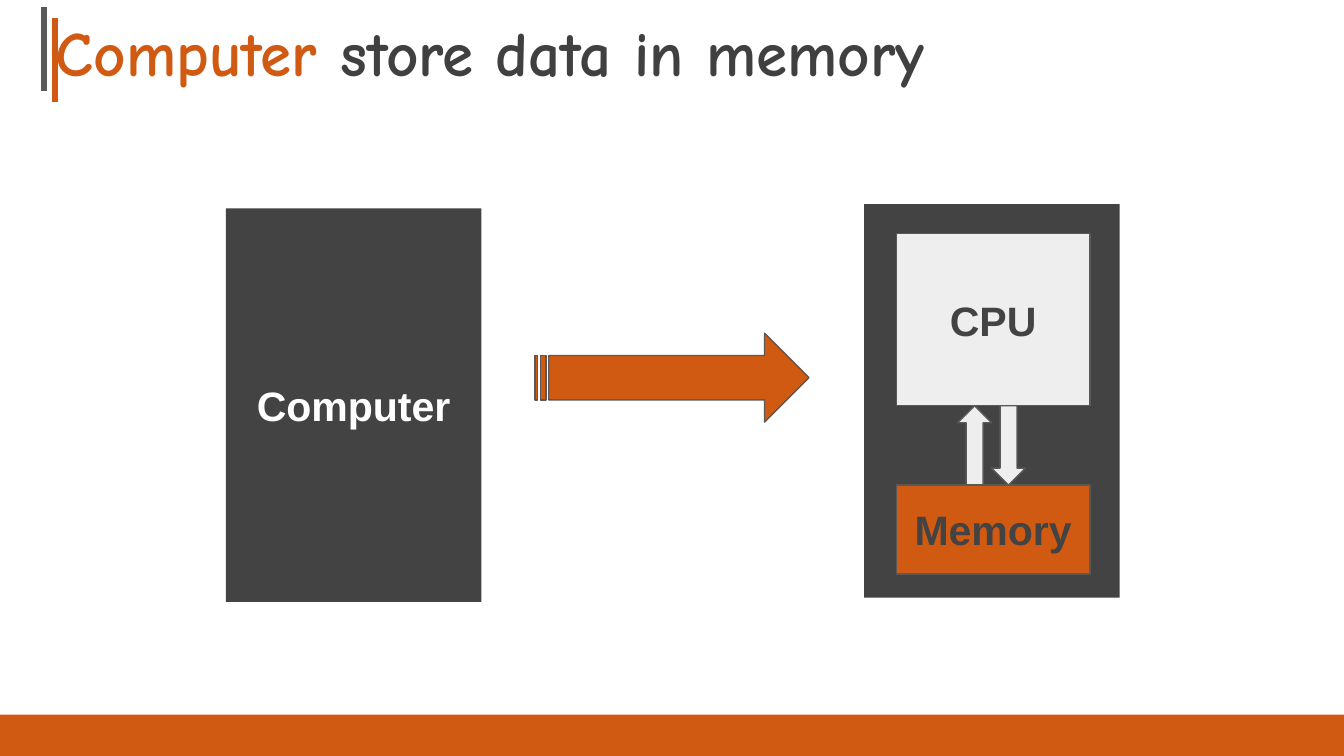
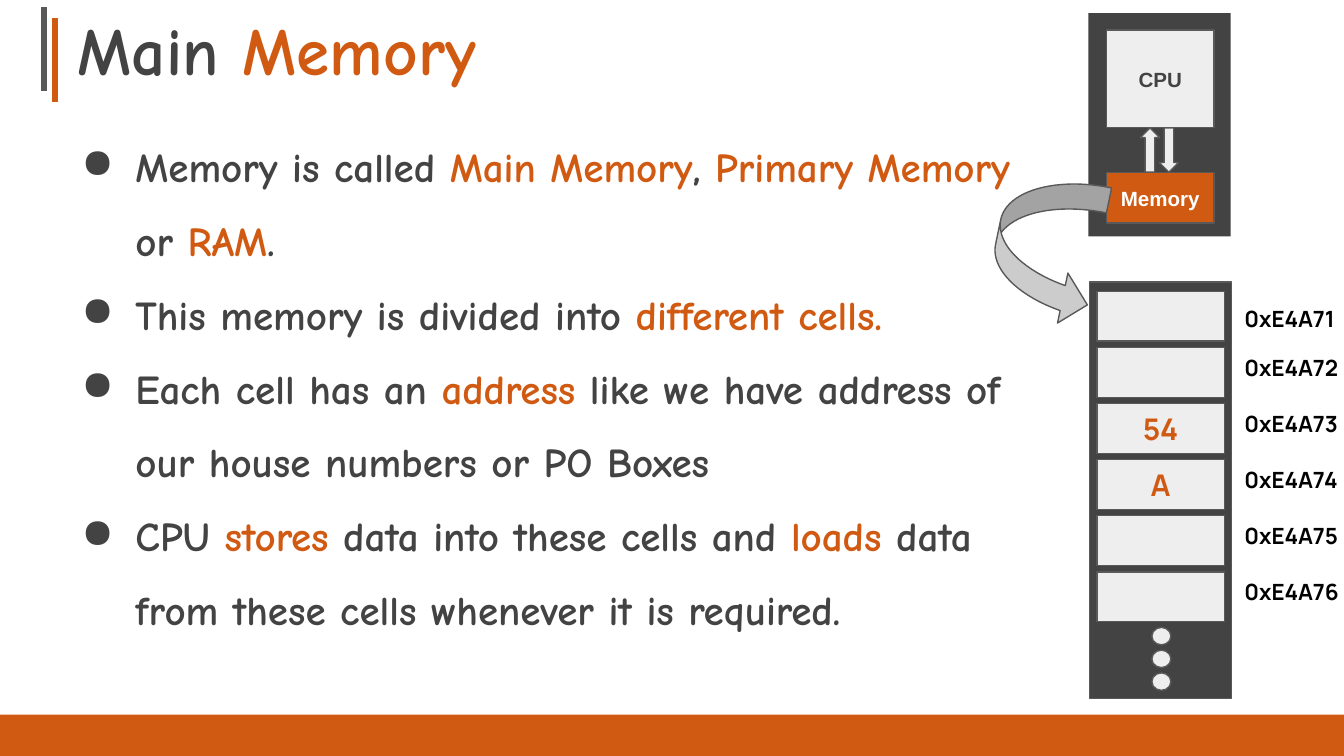
import dataclasses

import lxml.etree
import pptx
import pptx.dml.color
import pptx.enum.shapes
import pptx.enum.text
import pptx.oxml.ns
import pptx.util

Cm = pptx.util.Cm
Pt = pptx.util.Pt
MSO = pptx.enum.shapes.MSO_SHAPE
ALIGN = pptx.enum.text.PP_ALIGN
ANCHOR = pptx.enum.text.MSO_ANCHOR
qn = pptx.oxml.ns.qn


@dataclasses.dataclass(frozen=True)
class Theme:
    orange: str = "D15A12"
    dark: str = "434343"
    title_dark: str = "404040"
    light: str = "EEEEEE"
    silver: str = "CCCCCC"
    outline: str = "595959"
    white: str = "FFFFFF"
    black: str = "000000"
    display: str = "Comic Neue"
    label: str = "Arial"
    mono: str = "Manrope"
    title: float = 36
    title_small: float = 33.8
    body: float = 22
    small: float = 11
    address: float = 12
    value: float = 16
    hairline: float = 0.75
    rule: float = 3


T = Theme()

BULLETS = [
    [("Memory is called ", T.dark), ("Main Memory", T.orange), (", ", T.dark),
     ("Primary Memory", T.orange), (" or ", T.dark), ("RAM", T.orange), (".", T.dark)],
    [("This memory is divided into ", T.dark), ("different cells.", T.orange)],
    [("Each cell has an ", T.dark), ("address", T.orange),
     (" like we have address of our house numbers or PO Boxes", T.dark)],
    [("CPU ", T.dark), ("stores", T.orange), (" data into these cells and ", T.dark),
     ("loads", T.orange), (" data from these cells whenever it is required.", T.dark)],
]

CELLS = [
    ("0xE4A71", "", 0),
    ("0xE4A72", "", -0.13),
    ("0xE4A73", "54", -0.13),
    ("0xE4A74", "A", -0.13),
    ("0xE4A75", "", -0.13),
    ("0xE4A76", "", -0.13),
]


def rgb(color):
    return pptx.dml.color.RGBColor.from_string(color)


def add_run(p, text, size, color, font):
    r = p.add_run()
    r.text = text
    r.font.size = Pt(size)
    r.font.name = font
    r.font.bold = True
    r.font.color.rgb = rgb(color)


def set_margins(tf, left, top, right, bottom):
    tf.margin_left, tf.margin_top = Cm(left), Cm(top)
    tf.margin_right, tf.margin_bottom = Cm(right), Cm(bottom)


def add_block(s, kind, left, top, width, height, fill, line=T.outline, rotation=0):
    sp = s.shapes.add_shape(kind, Cm(left), Cm(top), Cm(width), Cm(height))
    sp.shadow.inherit = False
    sp.rotation = rotation
    sp.fill.solid()
    sp.fill.fore_color.rgb = rgb(fill)
    if line:
        sp.line.color.rgb = rgb(line)
        sp.line.width = Pt(T.hairline)
    else:
        sp.line.fill.background()
    return sp


def add_label(sp, text, size, color, font=T.label):
    tf = sp.text_frame
    tf.word_wrap = True
    tf.vertical_anchor = ANCHOR.MIDDLE
    set_margins(tf, 0, 0, 0, 0)
    p = tf.paragraphs[0]
    p.alignment = ALIGN.CENTER
    add_run(p, text, size, color, font)


def add_text_box(s, left, top, width, height, right_margin=0.25):
    sp = s.shapes.add_textbox(Cm(left), Cm(top), Cm(width), Cm(height))
    tf = sp.text_frame
    tf.word_wrap = True
    set_margins(tf, 0.25, 0.25, right_margin, 0.25)
    return tf


def add_rule(s, x, top, bottom, color):
    line = s.shapes.add_connector(
        pptx.enum.shapes.MSO_CONNECTOR.STRAIGHT, Cm(x), Cm(top), Cm(x), Cm(bottom))
    line.line.color.rgb = rgb(color)
    line.line.width = Pt(T.rule)
    lxml.etree.SubElement(line._element.spPr, qn("a:effectLst"))


def add_title(s, runs, indent):
    sp = s.shapes.title
    sp.left, sp.top, sp.width, sp.height = Cm(0), Cm(-0.2), Cm(25.4), Cm(2)
    tf = sp.text_frame
    tf.word_wrap = True
    tf.auto_size = pptx.enum.text.MSO_AUTO_SIZE.NONE
    tf.vertical_anchor = ANCHOR.BOTTOM
    set_margins(tf, indent, 0.1, 0.18, 0.1)
    p = tf.paragraphs[0]
    p.alignment = ALIGN.LEFT
    p.line_spacing = 0.9
    for text, size, color in runs:
        add_run(p, text, size, color, T.display)


def add_slide(prs, title_runs, indent):
    s = prs.slides.add_slide(prs.slide_layouts[5])
    add_block(s, MSO.RECTANGLE, 0, 13.51, 25.4, 0.78, T.orange, None)
    add_rule(s, 1.04, 0.34, 1.93, T.orange)
    add_rule(s, 0.83, 0.13, 1.72, T.outline)
    add_title(s, title_runs, indent)
    return s


def add_computer(s, left, top, width, height, size, memory_color):
    kx, ky = width / 4.83, height / 7.44

    def part(kind, x, y, w, h, fill, line=T.outline, rotation=0):
        return add_block(s, kind, left + x * kx, top + y * ky, w * kx, h * ky,
                         fill, line, rotation)

    part(MSO.RECTANGLE, 0, 0, 4.83, 7.44, T.dark, None)
    for center, rotation in ((2.73, 90), (2.09, 270)):
        part(MSO.RIGHT_ARROW, center - 0.75, 4.24, 1.5, 0.64, T.light, rotation=rotation)
    cpu = part(MSO.RECTANGLE, 0.61, 0.56, 3.66, 3.25, T.light)
    add_label(cpu, "CPU", size, T.dark)
    memory = part(MSO.RECTANGLE, 0.61, 5.31, 3.66, 1.68, T.orange)
    add_label(memory, "Memory", size, memory_color)


def add_bullets(s, items):
    tf = add_text_box(s, 1.04, 1.96, 18.42, 10.85)
    for i, runs in enumerate(items):
        p = tf.paragraphs[0] if i == 0 else tf.add_paragraph()
        p.line_spacing = 1.5
        pPr = p._p.get_or_add_pPr()
        pPr.set("marL", str(Cm(1.27)))
        pPr.set("indent", str(Cm(-1.02)))
        color = lxml.etree.SubElement(pPr, qn("a:buClr"))
        lxml.etree.SubElement(color, qn("a:srgbClr"), val=T.dark)
        lxml.etree.SubElement(pPr, qn("a:buChar"), char="●")
        for text, run_color in runs:
            add_run(p, text, T.body, run_color, T.display)


def add_memory_column(s):
    add_block(s, MSO.RECTANGLE, 20.59, 5.33, 2.69, 7.87, T.dark)
    for i, (address, value, shift) in enumerate(CELLS):
        top = 5.51 + i * 1.06
        cell = add_block(s, MSO.RECTANGLE, 20.73, top, 2.41, 0.94, T.light)
        if value:
            add_label(cell, value, T.value, T.orange, T.mono)
        tf = add_text_box(s, 23.27, top + shift, 2.13, 0.86, right_margin=0)
        add_run(tf.paragraphs[0], address, T.address, T.black, T.mono)
    for i in range(3):
        add_block(s, MSO.FLOWCHART_CONNECTOR, 21.77, 11.86 + i * 0.43, 0.36, 0.33, T.light)


def build_computer_slide(prs):
    s = add_slide(prs, [("Computer ", T.title_small, T.orange),
                        ("store data in memory", T.title_small, T.title_dark)], 1.05)
    box = add_block(s, MSO.RECTANGLE, 4.27, 3.94, 4.83, 7.44, T.dark, None)
    add_label(box, "Computer", T.body, T.white)
    add_computer(s, 16.33, 3.86, 4.83, 7.44, T.body, T.dark)
    add_block(s, MSO.STRIPED_RIGHT_ARROW, 10.11, 6.3, 5.18, 1.68, T.orange)


def build_memory_slide(prs):
    s = add_slide(prs, [("Main", T.title, T.dark), (" Memory", T.title, T.orange)], 1.47)
    add_bullets(s, BULLETS)
    add_computer(s, 20.57, 0.25, 2.69, 4.22, T.small, T.white)
    add_memory_column(s)
    arrow = add_block(s, MSO.CURVED_RIGHT_ARROW, 18.82, 3.33, 1.93, 2.74, T.silver,
                      rotation=11.7)
    for i, value in enumerate((0.25, 0.5, 0.25)):
        arrow.adjustments[i] = value


def main():
    prs = pptx.Presentation()
    prs.slide_width, prs.slide_height = Cm(25.4), Cm(14.29)
    build_computer_slide(prs)
    build_memory_slide(prs)
    prs.save("out.pptx")


if __name__ == "__main__":
    main()
